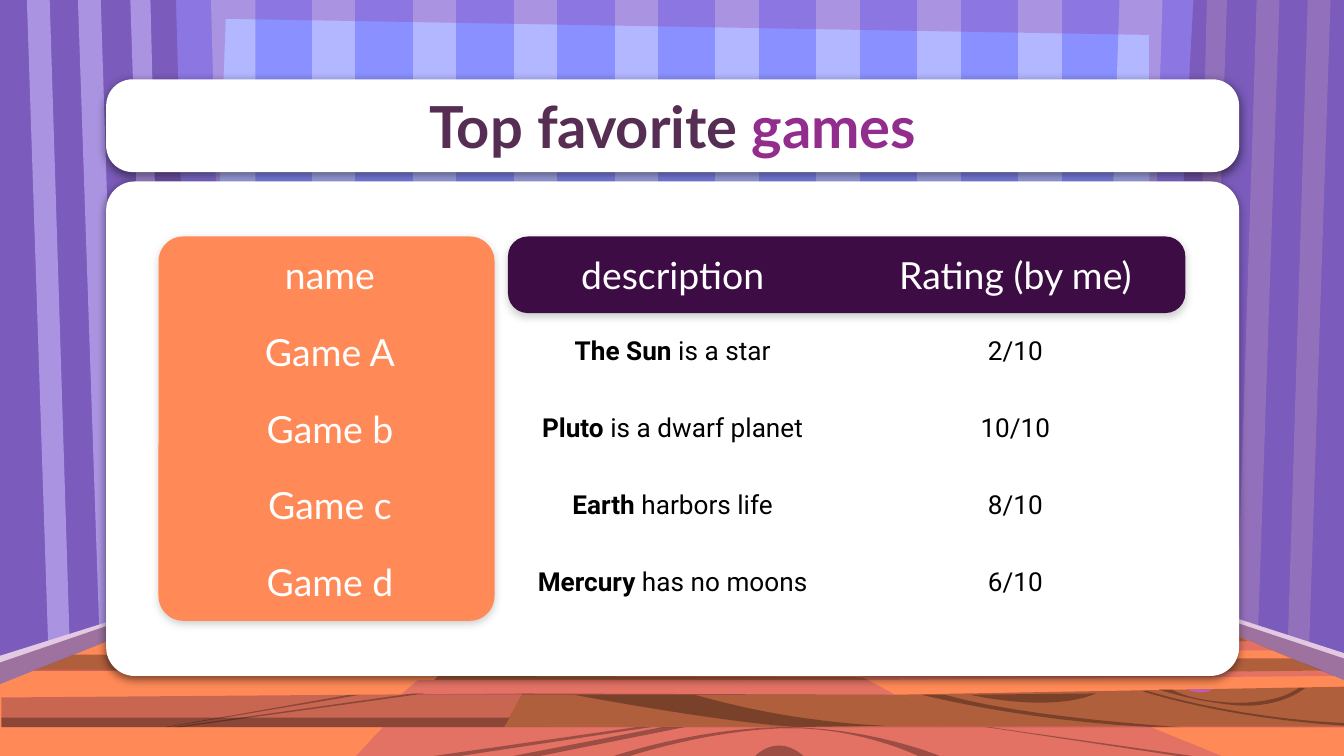
from lxml.etree import SubElement
from pptx import Presentation
from pptx.dml.color import RGBColor
from pptx.enum.shapes import MSO_SHAPE
from pptx.enum.text import MSO_ANCHOR, PP_ALIGN
from pptx.oxml.ns import qn
from pptx.util import Inches, Pt

WHITE = RGBColor(0xFF, 0xFF, 0xFF)
BLACK = RGBColor(0x00, 0x00, 0x00)
BLUE = RGBColor(0x8A, 0x90, 0xFF)
PALE = RGBColor(0xB3, 0xB7, 0xFF)
DARK = RGBColor(0x3D, 0x0C, 0x45)
ORANGE = RGBColor(0xFF, 0x8A, 0x57)
MAGENTA = RGBColor(0x92, 0x2C, 0x8D)
PLUM = RGBColor(0x57, 0x2E, 0x53)
CORAL = RGBColor(0xCC, 0x5E, 0x58)
LILAC = RGBColor(0xBF, 0x5E, 0xB5)

prs = Presentation()
prs.slide_width, prs.slide_height = Inches(10), Inches(5.625)
s = prs.slides.add_slide(prs.slide_layouts[6])
U = prs.slide_width / 10
BOTTOM = prs.slide_height / U


def paint(outline, color, alpha=100):
    pts = []
    for v in outline:
        if len(v) == 2:
            pts.append(v)
            continue
        ax, ay = pts[-1]
        bx, by, cx, cy, dx, dy = v
        for t in [i / 12 for i in range(1, 13)]:
            k = 1 - t
            pts.append((k**3 * ax + 3 * k * k * t * bx + 3 * k * t * t * cx + t**3 * dx,
                        k**3 * ay + 3 * k * k * t * by + 3 * k * t * t * cy + t**3 * dy))
    pts = [(round(x * U), round(y * U)) for x, y in pts]
    fb = s.shapes.build_freeform(*pts[0], scale=1.0)
    fb.add_line_segments(pts[1:], close=True)
    sp = fb.convert_to_shape()
    sp.shadow.inherit = False
    sp.line.fill.background()
    sp.fill.solid()
    sp.fill.fore_color.rgb = color
    if alpha < 100:
        clr = next(sp._element.spPr.iter(qn("a:srgbClr")))
        SubElement(clr, qn("a:alpha"), val=str(alpha * 1000))


def write(tf, runs, font, size):
    tf.vertical_anchor = MSO_ANCHOR.MIDDLE
    p = tf.paragraphs[0]
    p.alignment = PP_ALIGN.CENTER
    for text, color, bold in runs:
        r = p.add_run()
        r.text = text
        r.font.name, r.font.size = font, Pt(size)
        r.font.bold, r.font.color.rgb = bold, color


paint([(0, 0), (10, 0), (10, BOTTOM), (0, BOTTOM)], BLUE)
paint([(1.43, 4.52), (1.31, 0), (0, 0), (0, 5.09)], DARK, 28)
paint([(1.9, 4.43), (1.69, 4.43), (1.57, 0), (1.9, 0)], PALE)
for i in range(8):
    x = 2.32 + 0.751 * i
    paint([(x, 0), (x + 0.325, 0), (x + 0.325, 4.43), (x, 4.43)], PALE)
paint([(8.51, 4.43), (8.18, 4.43), (8.33, 0), (8.65, 0)], PALE)
SIDE_STRIPES = [
    (0.97, 1.12, 1.23, 1.12, 4.58),
    (0.58, 0.75, 0.9, 0.74, 4.73),
    (0.2, 0.37, 0.52, 0.36, 4.84),
]
for a, b, c, d, y in SIDE_STRIPES:
    left = [(a, 0), (b, 0), (c, y), (d, y)]
    paint(left, PALE)
    paint([(10.1 - x, v) for x, v in left], PALE)
paint([(8.64, 4.49), (8.88, 0), (10, 0), (10, 5.06)], DARK, 28)

FLOOR_EDGE = [(0, 5.09), (1.45, 4.51), (8.64, 4.49), (10, 5.06)]
paint(FLOOR_EDGE + [(10, BOTTOM), (0, BOTTOM)], ORANGE)
paint(FLOOR_EDGE + [(10, 4.86), (8.64, 4.42), (1.43, 4.43), (0, 4.88)], WHITE)
paint(FLOOR_EDGE + [(10, 4.9), (8.65, 4.45), (1.43, 4.44), (0, 4.93)], DARK, 28)
paint([(8.65, 4.45), (8.62, 4.49), (10, 5.06), (10, 4.9)], DARK, 28)
paint([(1.43, 4.44), (1.45, 4.51), (0, 5.09), (0, 4.93)], DARK, 28)

paint([(0.01, 5.19), (0.01, 5.41), (3.75, 5.41), (3.89, 5.16)], DARK, 28)
PINK_PLANKS = [
    [(2.85, 5.41), (2.65, BOTTOM), (9.09, BOTTOM), (8.56, 5.41)],
    [(2.98, 5.17), (3.11, 5.06), (6.46, 5.06), (6.66, 5.17)],
    [(5.94, 4.79), (9.29, 4.77), (9.47, 4.84), (5.99, 4.84)],
    [(6.46, 5.06), (9.93, 5.03), (9.84, 4.99), (6.4, 5.02)],
]
for plank in PINK_PLANKS:
    paint(plank, MAGENTA, 25)
DARK_PLANKS = [
    [(3.75, 5.41), (3.79, 5.34), (0.01, 5.34), (0.01, 5.41)],
    [(6.66, 5.17), (7.09, 5.41), (3.75, 5.41), (3.89, 5.16)],
    [(9.29, 4.77), (9.02, 4.65), (8.01, 4.66), (8.23, 4.77)],
    [(0.25, 4.99), (4.34, 4.99), (4.44, 4.9), (0.55, 4.87)],
    [(3.23, 5.06), (3.26, 5.03), (6.42, 5.04), (6.46, 5.06)],
    [(5.83, 5.03), (5.71, 4.9), (9.61, 4.9), (9.84, 4.99)],
    [(7.09, 5.41), (6.66, 5.17), (10, 5.11), (10, 5.41)],
]
for plank in DARK_PLANKS:
    paint(plank, BLACK, 31)
paint([(10, 5.41), (3.79, 5.41), (10, 5.4)], CORAL)
paint([(0.25, 4.99), (2.97, 4.99), (0.27, 4.98)], CORAL)
GRAIN = [
    [(3.23, BOTTOM), (4.74, 5.41), (4.85, 5.41), (3.43, BOTTOM)],
    [(3.82, BOTTOM), (4.93, 5.41), (5.1, 5.41), (4.02, BOTTOM)],
    [(4.57, BOTTOM), (4.57, BOTTOM, 5.17, 5.42, 5.82, 5.41),
     (6.48, 5.41, 6.99, BOTTOM, 6.99, BOTTOM), (6.83, BOTTOM),
     (6.83, BOTTOM, 6.37, 5.4, 5.81, 5.42), (5.25, 5.44, 4.69, BOTTOM, 4.69, BOTTOM)],
    [(5.62, BOTTOM), (5.62, BOTTOM, 5.78, 5.49 - 0.04, 5.98, BOTTOM)],
    [(7.33, 5.41), (8.76, BOTTOM), (8.87, BOTTOM), (7.36, 5.41)],
    [(6.86, 5.17), (6.86, 5.17, 7.59, 5.36, 8.56, 5.41), (8.78, 5.41),
     (8.78, 5.41, 7.62, 5.34, 7.03, 5.17)],
    [(7.22, 5.17), (7.22, 5.17, 7.81, 5.31, 8.16, 5.16)],
    [(4.27, 5.17), (4.27, 5.17, 5.33, 5.37, 5.92, 5.41), (6.6, 5.4),
     (6.6, 5.4, 5.93, 5.39, 5.17, 5.17)],
    [(1.23, 5.41), (2.6, 5.17), (2.68, 5.17), (1.25, 5.41)],
    [(1.29, 5.41), (3.07, 5.16), (3.16, 5.16), (1.35, 5.41)],
    [(3.66, 4.9), (3.66, 4.9, 3.95, 5.01, 4.51, 5.03), (4.57, 5.03),
     (4.57, 5.03, 3.99, 5, 3.71, 4.9)],
    [(5.71, 5.03), (6.46, 4.92), (6.5, 4.92), (5.78, 5.03)],
    [(5.9, 5.03), (6.63, 4.92), (6.74, 4.92), (5.99, 5.03)],
    [(6.19, 5.03), (6.19, 5.03, 6.36, 4.98, 6.47, 5.02)],
    [(6.59, 5.03), (6.59, 5.03, 7.06, 4.91, 7.36, 4.9), (7.45, 4.9),
     (7.45, 4.9, 7.08, 4.93, 6.68, 5.02)],
    [(8.49, 5.14), (8.49, 5.14, 9.07, 5.34, 10, 5.4), (10, 5.38),
     (10, 5.38, 9.28, 5.36, 8.53, 5.14)],
    [(8.62, 5.13), (8.62, 5.13, 8.87, 5.22, 9.21, 5.25),
     (9.54, 5.27, 9.71, 5.12, 9.71, 5.12), (9.66, 5.12),
     (9.66, 5.12, 9.54, 5.23, 9.2, 5.23), (8.85, 5.22, 8.72, 5.13, 8.72, 5.13)],
]
for outline in GRAIN:
    paint(outline, BLACK, 31)
paint([(8.83, 5.13), (8.83, 5.13, 8.94, 5.18, 9.02, 5.13)], LILAC)
paint([(0, 0), (0, 5.09), (1.45, 4.51), (1.52, 4.51), (1.68, 0.14), (8.55, 0.26),
       (8.56, 4.49), (8.64, 4.49), (10, 5.06), (10, 0)], MAGENTA, 25)

TITLE_BOX = [round(v * U) for v in (0.79, 0.59, 8.43, 0.69)]
CARDS = [
    (0.79, 0.59, 8.43, 0.69, 0.285, WHITE, 50),
    (0.79, 1.35, 8.43, 3.68, 0.058, WHITE, 50),
    (3.78, 1.76, 5.04, 0.57, 0.259, DARK, 20),
    (1.18, 1.76, 2.5, 2.86, 0.074, ORANGE, 20),
]
for *box, adj, color, alpha in CARDS:
    sp = s.shapes.add_shape(MSO_SHAPE.ROUNDED_RECTANGLE, *[round(v * U) for v in box])
    sp.adjustments[0] = adj
    sp.fill.solid()
    sp.fill.fore_color.rgb = color
    sp.line.fill.background()
    sp.shadow.inherit = False
    effects = sp._element.spPr.find(qn("a:effectLst"))
    shadow = SubElement(effects, qn("a:outerShdw"), blurRad=str(Pt(4.5)), dist=str(Pt(1.5)),
                        dir="5400000", algn="bl", rotWithShape="0")
    clr = SubElement(shadow, qn("a:srgbClr"), val=str(BLACK))
    SubElement(clr, qn("a:alpha"), val=str(alpha * 1000))

tf = s.shapes.add_textbox(*TITLE_BOX).text_frame
tf.word_wrap = True
tf.margin_left = tf.margin_right = tf.margin_top = tf.margin_bottom = Inches(0.1)
write(tf, [("Top favorite ", PLUM, True), ("games", MAGENTA, True)], "Lato", 31)

ROWS = [
    ("name", ("description", ""), "Rating (by me)"),
    ("Game A", ("The Sun", " is a star"), "2/10"),
    ("Game b", ("Pluto", " is a dwarf planet"), "10/10"),
    ("Game c", ("Earth ", "harbors life"), "8/10"),
    ("Game d", ("Mercury", " has no moons"), "6/10"),
]
COL, ROW = 2.55 * U, 0.572 * U
frame = s.shapes.add_table(len(ROWS), 3, round(1.18 * U), round(1.76 * U),
                           round(3 * COL), round(len(ROWS) * ROW))
table = frame.table
table.first_row = table.horz_banding = False
style = next(frame._element.iter(qn("a:tableStyleId")))
style.text = "{2D5ABB26-0587-4C30-8999-92F81FD0307C}"
for i, (name, (subject, fact), rating) in enumerate(ROWS):
    if i == 0:
        texts = [[(name, WHITE, False)], [(subject, WHITE, False)], [(rating, WHITE, False)]]
    else:
        texts = [[(name, WHITE, False)], [(subject, BLACK, True), (fact, BLACK, False)],
                 [(rating, BLACK, False)]]
    for j, runs in enumerate(texts):
        cell = table.cell(i, j)
        cell.fill.background()
        cell.vertical_anchor = MSO_ANCHOR.MIDDLE
        cell.margin_left = cell.margin_right = Inches(0.1)
        cell.margin_top = cell.margin_bottom = Inches(0.1)
        heading = i == 0 or j == 0
        write(cell.text_frame, runs, "Lato" if heading else "Roboto", 20 if heading else 14)

prs.save("out.pptx")
